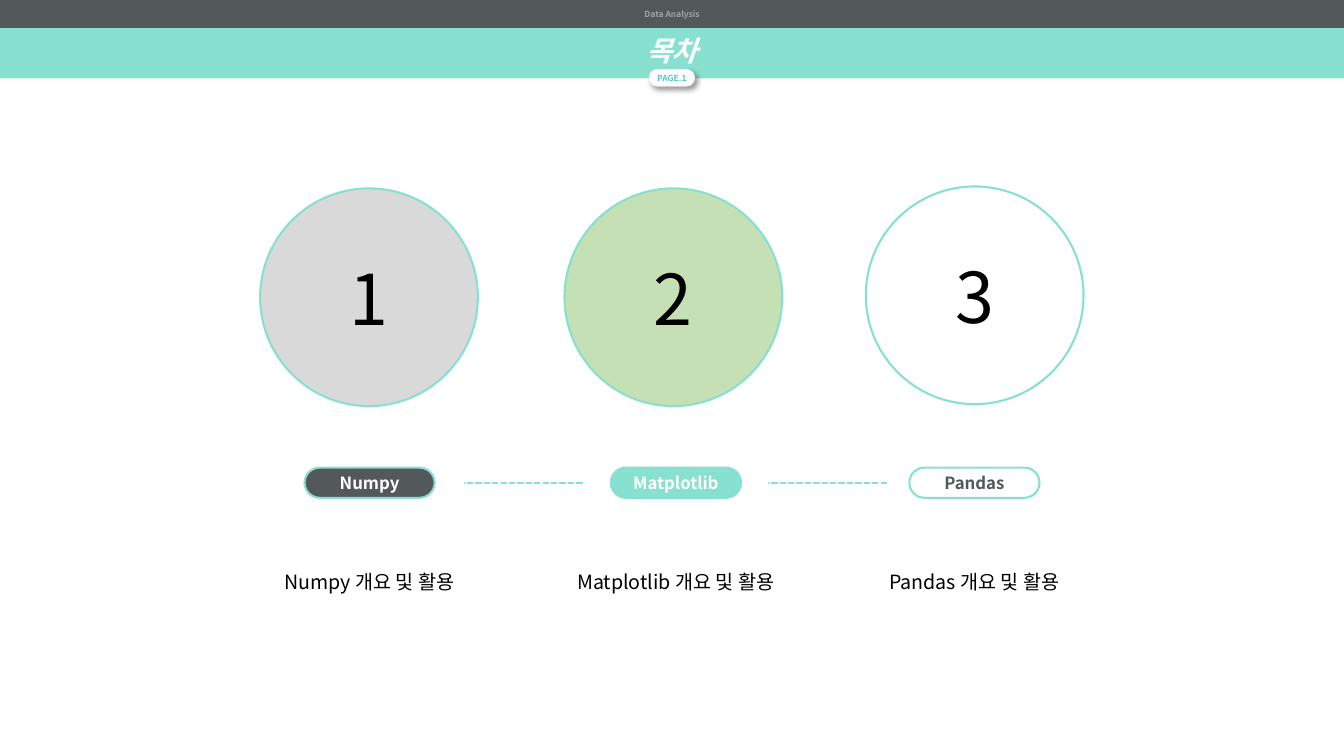
from dataclasses import dataclass

import lxml.etree
import pptx
import pptx.dml.color
import pptx.enum.dml
import pptx.enum.shapes
import pptx.enum.text
import pptx.oxml.ns
import pptx.util

Pt = pptx.util.Pt
SHAPE = pptx.enum.shapes.MSO_SHAPE
ANCHOR = pptx.enum.text.MSO_ANCHOR
qn = pptx.oxml.ns.qn

FONT = "Noto Sans CJK KR"
MINT, DARK, WHITE, BLACK = "88E0D0", "53585B", "FFFFFF", "000000"
CIRCLE, PILL_W, PILL_H, PILL_TOP = 155.5, 93, 21.6, 334


@dataclass
class Topic:
    number: str
    name: str
    center: float
    circle_center: float
    circle_top: float
    circle_fill: str
    pill_fill: str
    pill_color: str
    caption_width: float


TOPICS = [
    Topic("1", "Numpy", 264, 263.6, 134.6, "D9D9D9", DARK, WHITE, 198.7),
    Topic("2", "Matplotlib", 482.8, 481, 134.6, "C5E0B4", MINT, WHITE, 186.5),
    Topic("3", "Pandas", 696, 696.2, 133.2, WHITE, WHITE, DARK, 211.7),
]


def rgb(color: str) -> pptx.dml.color.RGBColor:
    return pptx.dml.color.RGBColor.from_string(color)


def write(sp, text: str, size: float, color: str, bold=False, italic=False,
          anchor=ANCHOR.MIDDLE, wrap=True):
    tf = sp.text_frame
    tf.text = text
    tf.word_wrap = wrap
    tf.auto_size = pptx.enum.text.MSO_AUTO_SIZE.NONE
    tf.vertical_anchor = anchor
    p = tf.paragraphs[0]
    p.alignment = pptx.enum.text.PP_ALIGN.CENTER
    font = p.runs[0].font
    font.name, font.size, font.bold, font.italic = FONT, Pt(size), bold, italic
    font.color.rgb = rgb(color)
    ea = lxml.etree.Element(qn("a:ea"), typeface=FONT)
    p.runs[0]._r.rPr.find(qn("a:latin")).addnext(ea)
    return tf


def paint(sp, fill: str, line: str = "", width: float = 1.5) -> None:
    sp.fill.solid()
    sp.fill.fore_color.rgb = rgb(fill)
    if line:
        sp.line.color.rgb = rgb(line)
        sp.line.width = Pt(width)
    else:
        sp.line.fill.background()


def add_shape(s, kind, x: float, y: float, w: float, h: float,
              fill: str, line: str = "", width: float = 1.5):
    sp = s.shapes.add_shape(kind, Pt(x), Pt(y), Pt(w), Pt(h))
    sp.shadow.inherit = False
    paint(sp, fill, line, width)
    if kind == SHAPE.ROUNDED_RECTANGLE:
        sp.adjustments[0] = 0.5
    return sp


def add_shadow(sp) -> None:
    effects = sp._element.spPr.find(qn("a:effectLst"))
    shadow = lxml.etree.SubElement(
        effects, qn("a:outerShdw"), blurRad=str(Pt(4)), dist=str(Pt(3)),
        dir=str(45 * 60000), algn="tl", rotWithShape="0")
    color = lxml.etree.SubElement(shadow, qn("a:srgbClr"), val=BLACK)
    lxml.etree.SubElement(color, qn("a:alpha"), val="40000")


def add_dashes(s, x1: float, x2: float, y: float) -> None:
    line = s.shapes.add_connector(
        pptx.enum.shapes.MSO_CONNECTOR.STRAIGHT, Pt(x1), Pt(y), Pt(x2), Pt(y))
    line.line.color.rgb = rgb(MINT)
    line.line.width = Pt(1.5)
    line.line.dash_style = pptx.enum.dml.MSO_LINE.SQUARE_DOT
    lxml.etree.SubElement(line._element.spPr, qn("a:effectLst"))


def add_topic(s, topic: Topic) -> None:
    caption = s.shapes.add_textbox(
        Pt(topic.center - topic.caption_width / 2), Pt(368),
        Pt(topic.caption_width), Pt(86.4))
    tf = write(caption, f"{topic.name} 개요 및 활용", 14, BLACK)
    tf.paragraphs[0].line_spacing = 1.5

    pill = add_shape(s, SHAPE.ROUNDED_RECTANGLE, topic.center - PILL_W / 2,
                     PILL_TOP, PILL_W, PILL_H, topic.pill_fill, MINT)
    tf = write(pill, topic.name, 12, topic.pill_color, bold=True)
    tf.margin_top = tf.margin_bottom = 0

    circle = add_shape(s, SHAPE.OVAL, topic.circle_center - CIRCLE / 2,
                       topic.circle_top, CIRCLE, CIRCLE,
                       topic.circle_fill, MINT)
    write(circle, topic.number, 50, BLACK)


prs = pptx.Presentation()
prs.slide_width, prs.slide_height = Pt(960), Pt(540)
s = prs.slides.add_slide(prs.slide_layouts[5])

title = s.shapes.title
title.left, title.top, title.width, title.height = 0, Pt(20), Pt(960), Pt(36)
paint(title, MINT)
write(title, "목차", 20, WHITE, bold=True, italic=True, anchor=ANCHOR.TOP)

header = add_shape(s, SHAPE.RECTANGLE, 0, 0, 960, 20, DARK)
write(header, "Data Analysis", 6, "9FA4A7", bold=True)

page = add_shape(s, SHAPE.ROUNDED_RECTANGLE, 463.7, 49.7, 32.4, 11.7,
                 WHITE, "F2F2F2", 1)
add_shadow(page)
write(page, "PAGE.1", 6, "57C4C7", bold=True, wrap=False)

for topic in TOPICS:
    add_topic(s, topic)
for topic in TOPICS[:-1]:
    start = topic.circle_center + 152.5
    add_dashes(s, start, start - 85, PILL_TOP + PILL_H / 2)

prs.save("out.pptx")
